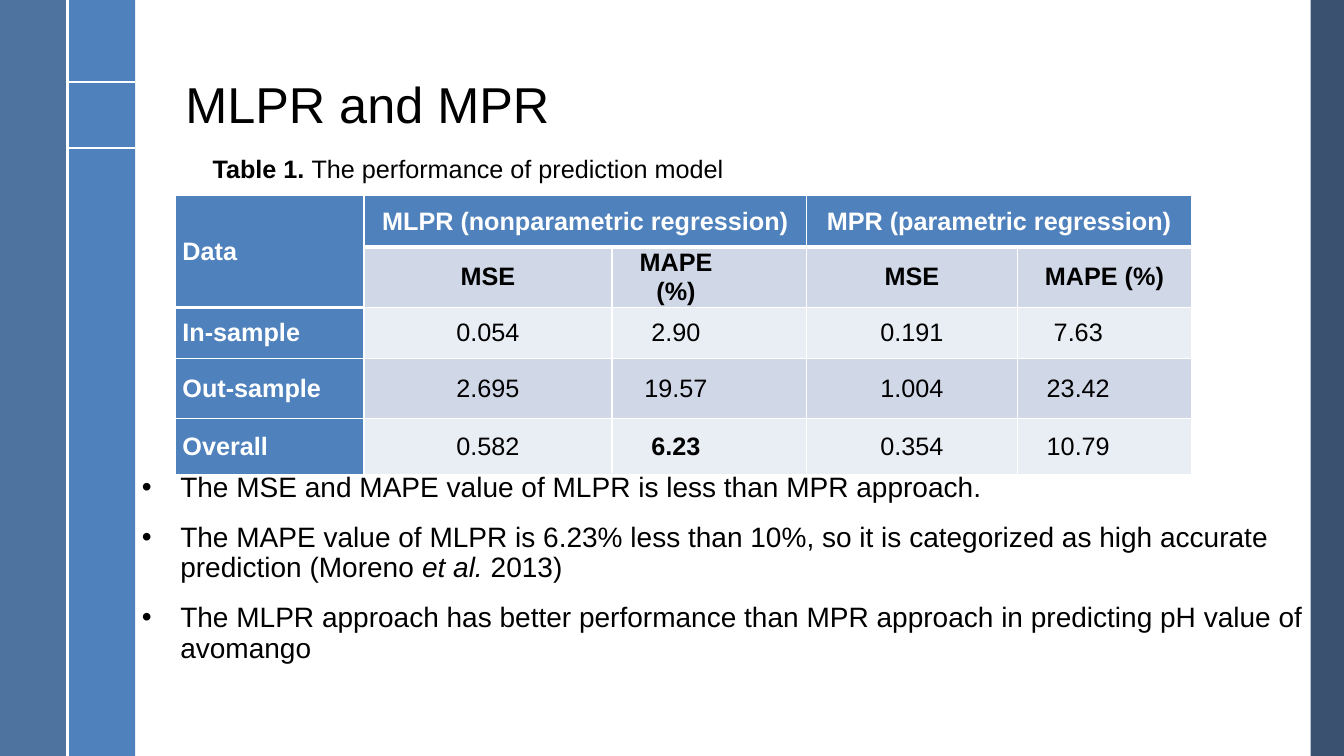
"""Build the MLPR and MPR slide with its results table and conclusions."""
from dataclasses import dataclass

from lxml.etree import SubElement
from pptx import Presentation
from pptx.dml.color import RGBColor
from pptx.enum.shapes import MSO_CONNECTOR, MSO_SHAPE
from pptx.enum.text import MSO_ANCHOR, PP_ALIGN
from pptx.oxml.ns import qn
from pptx.util import Inches, Pt


@dataclass(frozen=True)
class Theme:
    font: str = "Arial"
    white: str = "FFFFFF"
    black: str = "000000"
    blue: str = "4F81BD"
    navy: str = "254061"
    steel: str = "376092"
    band_dark: str = "D0D8E8"
    band_light: str = "E9EDF4"
    title_size: int = 36
    body_size: int = 20
    table_size: int = 18


theme = Theme()


def style_run(run, size, color=theme.black, bold=False, italic=False):
    run.font.name = theme.font
    run.font.size = Pt(size)
    run.font.color.rgb = RGBColor.from_string(color)
    run.font.bold = bold
    run.font.italic = italic


def add_text_box(slide, left, top, width, height):
    box = slide.shapes.add_textbox(Inches(left), Inches(top), Inches(width), Inches(height))
    box.text_frame.word_wrap = True
    return box.text_frame


presentation = Presentation()
presentation.slide_width = Inches(13.33)
presentation.slide_height = Inches(7.5)
slide = presentation.slides.add_slide(presentation.slide_layouts[6])

side_strips = [
    (13, 0.33, theme.navy, 90),
    (0.67, 0.67, theme.blue, 100),
    (0, 0.67, theme.steel, 88),
]
for left, width, color, opacity in side_strips:
    strip = slide.shapes.add_shape(
        MSO_SHAPE.RECTANGLE, Inches(left), Inches(0), Inches(width), Inches(7.5)
    )
    strip.shadow.inherit = False
    strip.line.fill.background()
    strip.fill.solid()
    strip.fill.fore_color.rgb = RGBColor.from_string(color)
    if opacity < 100:
        color_element = strip.fill._xPr.find(qn("a:solidFill"))[0]
        SubElement(color_element, qn("a:alpha"), val=str(opacity * 1000))

strip_lines = [(0.67, 0.81, 1.34, 0.81), (0.67, 1.47, 1.34, 1.47), (0.67, 0, 0.67, 7.5)]
for ends in strip_lines:
    line = slide.shapes.add_connector(MSO_CONNECTOR.STRAIGHT, *[Inches(value) for value in ends])
    line.line.color.rgb = RGBColor.from_string(theme.white)
    line.line.width = Pt(1.5)
    SubElement(line._element.spPr, qn("a:effectLst"))

title = add_text_box(slide, 1.74, 0.19, 10.7, 1.19)
title.vertical_anchor = MSO_ANCHOR.BOTTOM
title.text = "MLPR and MPR"
title.paragraphs[0].line_spacing = 0.9
style_run(title.paragraphs[0].runs[0], theme.title_size)

conclusions = [
    [("The MSE and MAPE value of MLPR is less than MPR approach.", False)],
    [
        (
            "The MAPE value of MLPR is 6.23% less than 10%, so it is categorized "
            "as high accurate prediction (Moreno ",
            False,
        ),
        ("et al. ", True),
        ("2013)", False),
    ],
    [
        (
            "The MLPR approach has better performance than MPR approach in "
            "predicting pH value of avomango",
            False,
        )
    ],
]
body = add_text_box(slide, 1.31, 4.65, 11.77, 2.12)
for index, parts in enumerate(conclusions):
    paragraph = body.add_paragraph() if index else body.paragraphs[0]
    properties = paragraph._p.get_or_add_pPr()
    properties.set("marL", str(Inches(0.38)))
    properties.set("indent", str(-Inches(0.38)))
    SubElement(properties, qn("a:buFont"), typeface=theme.font)
    SubElement(properties, qn("a:buChar"), char="•")
    paragraph.line_spacing = 0.9
    paragraph.space_before = Pt(14 if index else 0)
    for text, italic in parts:
        run = paragraph.add_run()
        run.text = text
        style_run(run, theme.body_size, italic=italic)

column_widths = [1.87, 2.46, 1.93, 2.09, 1.73]
row_heights = [0.51, 0.51, 0.51, 0.59, 0.56]
table_rows = [
    ["Data", "MLPR (nonparametric regression)", "", "MPR (parametric regression)", ""],
    ["", "MSE", "MAPE (%)", "MSE", "MAPE (%)"],
    ["In-sample", "0.054", "2.90", "0.191", "7.63"],
    ["Out-sample", "2.695", "19.57", "1.004", "23.42"],
    ["Overall", "0.582", "6.23", "0.354", "10.79"],
]
table = slide.shapes.add_table(
    5, 5, Inches(1.74), Inches(1.94), Inches(sum(column_widths)), Inches(sum(row_heights))
).table
for column, width in zip(table.columns, column_widths):
    column.width = Inches(width)
for row, height in zip(table.rows, row_heights):
    row.height = Inches(height)
table.cell(0, 0).merge(table.cell(1, 0))
table.cell(0, 1).merge(table.cell(0, 2))
table.cell(0, 3).merge(table.cell(0, 4))

for row_index, row_texts in enumerate(table_rows):
    for column_index, text in enumerate(row_texts):
        cell = table.cell(row_index, column_index)
        is_label = row_index == 0 or column_index == 0
        header_end = 1 if column_index == 0 else 0
        cell_properties = cell._tc.get_or_add_tcPr()
        for side in ("L", "R", "T", "B"):
            below_header = side == "B" and row_index <= header_end
            above_data = side == "T" and row_index == header_end + 1
            width = Pt(3 if below_header or above_data else 1)
            border = SubElement(cell_properties, qn(f"a:ln{side}"), w=str(width))
            border_fill = SubElement(border, qn("a:solidFill"))
            SubElement(border_fill, qn("a:srgbClr"), val=theme.white)
        band = theme.band_dark if row_index % 2 else theme.band_light
        cell.fill.solid()
        cell.fill.fore_color.rgb = RGBColor.from_string(theme.blue if is_label else band)
        cell.vertical_anchor = MSO_ANCHOR.MIDDLE
        cell.margin_left = cell.margin_right = Inches(0.07)
        cell.margin_top = cell.margin_bottom = Inches(0)
        if row_index > 0 and column_index == 2:
            cell.margin_right = Inches(0.73)
        elif row_index > 1 and column_index == 4:
            cell.margin_right = Inches(0.59)
        if text:
            cell.text_frame.text = text
            paragraph = cell.text_frame.paragraphs[0]
            paragraph.alignment = PP_ALIGN.CENTER if column_index else PP_ALIGN.JUSTIFY
            style_run(
                paragraph.runs[0],
                theme.table_size,
                color=theme.white if is_label else theme.black,
                bold=is_label or row_index == 1 or text == "6.23",
            )

caption = add_text_box(slide, 2.01, 1.47, 5.98, 0.4)
for text, bold in [("Table 1. ", True), ("The performance of prediction model", False)]:
    run = caption.paragraphs[0].add_run()
    run.text = text
    style_run(run, theme.table_size, bold=bold)

presentation.save("out.pptx")
